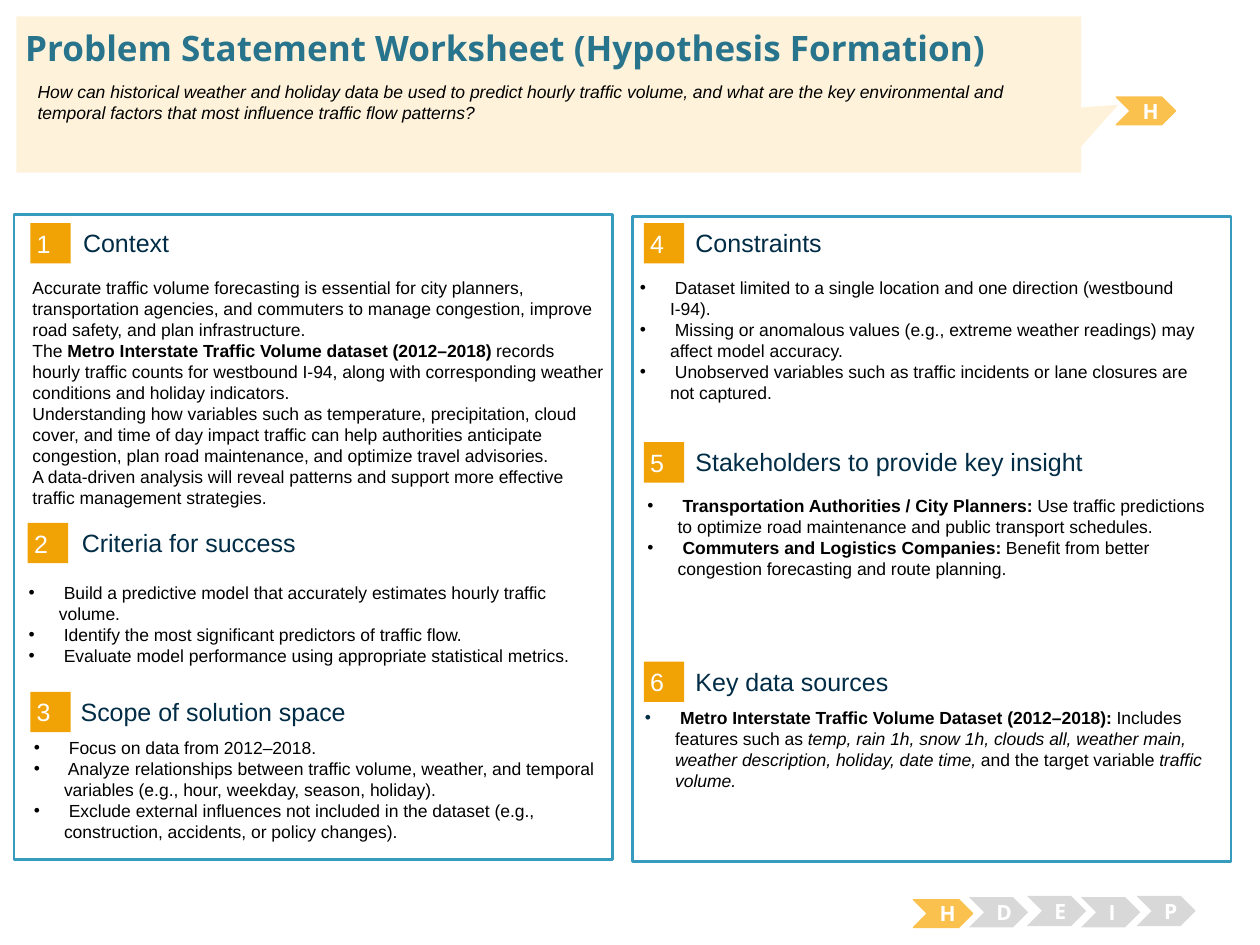
from dataclasses import dataclass
from typing import Optional

from lxml.etree import SubElement
from pptx import Presentation
from pptx.dml.color import RGBColor
from pptx.enum.shapes import MSO_SHAPE as Shape
from pptx.enum.text import MSO_ANCHOR as Anchor, PP_ALIGN as Align
from pptx.oxml.ns import qn
from pptx.util import Inches, Pt

COLORS = {
    "white": "FFFFFF", "black": "000000", "navy": "002C46", "teal": "29748D",
    "frame": "379BBD", "orange": "F1A205", "amber": "FBC14E",
    "cream": "FEF2DA", "gray": "D8D8D8",
}


@dataclass(frozen=True)
class Span:
    text: str
    bold: bool = False
    italic: bool = False
    color: Optional[str] = None


@dataclass(frozen=True)
class Section:
    number: str
    heading: str
    badge: tuple
    heading_left: float
    body: tuple
    paragraphs: list
    bulleted: bool = True


@dataclass(frozen=True)
class Stage:
    letter: str
    left: float
    top: float
    active: bool = False


SECTIONS = [
    Section("1", "Context", (0.24, 1.77), 0.66, (0.16, 2.15, 1.91), [[
        Span("Accurate traffic volume forecasting is essential for city planners, "
             "transportation agencies, and commuters to manage congestion, improve "
             "road safety, and plan infrastructure.\nThe "),
        Span("Metro Interstate Traffic Volume dataset (2012–2018)", bold=True),
        Span(" records hourly traffic counts for westbound I-94, along with "
             "corresponding weather conditions and holiday indicators.\n"
             "Understanding how variables such as temperature, precipitation, cloud "
             "cover, and time of day impact traffic can help authorities anticipate "
             "congestion, plan road maintenance, and optimize travel advisories.\n"
             "A data-driven analysis will reveal patterns and support more effective "
             "traffic management strategies."),
    ]], bulleted=False),
    Section("2", "Criteria for success", (0.22, 4.15), 0.65, (0.13, 4.57, 0.78), [
        [Span(" Build a predictive model that accurately estimates hourly traffic volume.")],
        [Span(" Identify the most significant predictors of traffic flow.")],
        [Span(" Evaluate model performance using appropriate statistical metrics.")],
    ]),
    Section("3", "Scope of solution space", (0.24, 5.49), 0.64, (0.17, 5.8, 0.92), [
        [Span(" Focus on data from 2012–2018.")],
        [Span(" Analyze relationships between traffic volume, weather, and temporal "
              "variables (e.g., hour, weekday, season, holiday).")],
        [Span(" Exclude external influences not included in the dataset (e.g., "
              "construction, accidents, or policy changes).")],
    ]),
    Section("4", "Constraints", (5.11, 1.77), 5.52, (4.98, 2.15, 1.18), [
        [Span(" Dataset limited to a single location and one direction (westbound I-94).")],
        [Span(" Missing or anomalous values (e.g., extreme weather readings) may "
              "affect model accuracy.")],
        [Span(" Unobserved variables such as traffic incidents or lane closures are "
              "not captured.")],
    ]),
    Section("5", "Stakeholders to provide key insight", (5.11, 3.51), 5.52,
            (5.04, 3.88, 1.18), [
        [Span(" "), Span("Transportation Authorities / City Planners:", bold=True),
         Span(" Use traffic predictions to optimize road maintenance and public "
              "transport schedules.")],
        [Span(" "), Span("Commuters and Logistics Companies:", bold=True),
         Span(" Benefit from better congestion forecasting and route planning.")],
    ]),
    Section("6", "Key data sources", (5.11, 5.25), 5.52, (5.02, 5.56, 1.18), [
        [Span(" ", color="navy"),
         Span("Metro Interstate Traffic Volume Dataset (2012–2018):", bold=True),
         Span(" Includes features such as "),
         Span("temp, rain 1h, snow 1h, clouds all, weather main, weather "
              "description, holiday, date time,", italic=True),
         Span(" and the target variable "),
         Span("traffic volume.", italic=True)],
    ]),
]

STAGES = [
    Stage("H", 7.25, 7.14, active=True), Stage("D", 7.69, 7.12),
    Stage("E", 8.15, 7.11), Stage("I", 8.58, 7.12), Stage("P", 9.02, 7.11),
    Stage("H", 8.86, 0.77, active=True),
]


def rgb(color: str) -> RGBColor:
    return RGBColor.from_string(COLORS[color])


def add_bullet(paragraph) -> None:
    props = paragraph._p.get_or_add_pPr()
    props.set("marL", str(Inches(0.24)))
    props.set("indent", str(-Inches(0.24)))
    SubElement(props, qn("a:buFont")).set("typeface", "Arial")
    SubElement(props, qn("a:buChar")).set("char", "•")


def write(owner, paragraphs: list, *, size: float = 10, color: str = "black",
          font: str = "Arial", align=Align.LEFT, anchor=Anchor.TOP,
          insets: tuple = (0.1, 0.05), bulleted: bool = False) -> None:
    frame = owner.text_frame
    frame.word_wrap = True
    frame.vertical_anchor = anchor
    frame.margin_left = frame.margin_right = Inches(insets[0])
    frame.margin_top = frame.margin_bottom = Inches(insets[1])
    for index, spans in enumerate(paragraphs):
        paragraph = frame.add_paragraph() if index else frame.paragraphs[0]
        paragraph.alignment = align
        if bulleted:
            add_bullet(paragraph)
        for span in spans:
            for line_index, line in enumerate(span.text.split("\n")):
                if line_index:
                    paragraph.add_line_break()
                run = paragraph.add_run()
                run.text = line
                run.font.size = Pt(size)
                run.font.name = font
                run.font.bold = span.bold
                run.font.italic = span.italic
                run.font.color.rgb = rgb(span.color or color)


def add_text(slide, box: tuple, paragraphs: list, **text_format) -> None:
    write(slide.shapes.add_textbox(*map(Inches, box)), paragraphs, **text_format)


def add_block(slide, preset, box: tuple, fill: str, line: Optional[str] = None,
              line_width: float = 0.75):
    block = slide.shapes.add_shape(preset, *map(Inches, box))
    block.shadow.inherit = False
    block.fill.solid()
    block.fill.fore_color.rgb = rgb(fill)
    if line:
        block.line.color.rgb = rgb(line)
        block.line.width = Pt(line_width)
    else:
        block.line.fill.background()
    return block


def add_section(slide, section: Section) -> None:
    left, top = section.badge
    badge = add_block(slide, Shape.RECTANGLE, (left, top, 0.32, 0.32), "orange")
    write(badge, [[Span(section.number)]], size=14.3, color="white",
          anchor=Anchor.MIDDLE, insets=(0.05, 0.05))
    add_text(slide, (section.heading_left, top + 0.03, 3.93, 0.25),
             [[Span(section.heading)]], size=14.3, color="navy",
             anchor=Anchor.MIDDLE, insets=(0, 0))
    body_left, body_top, body_height = section.body
    add_text(slide, (body_left, body_top, 4.73, body_height), section.paragraphs,
             bulleted=section.bulleted)


def add_stage(slide, stage: Stage) -> None:
    height, fill, line = (0.22, "amber", "amber") if stage.active else (0.24, "gray", None)
    chevron = add_block(slide, Shape.CHEVRON, (stage.left, stage.top, 0.47, height),
                        fill, line)
    write(chevron, [[Span(stage.letter, bold=True)]], size=12, color="white",
          font="Open Sans", align=Align.CENTER, anchor=Anchor.MIDDLE)


def main() -> None:
    deck = Presentation()
    deck.slide_width, deck.slide_height = Inches(10), Inches(7.5)
    slide = deck.slides.add_slide(deck.slide_layouts[6])

    for left, top in ((0.11, 1.7), (5.02, 1.72)):
        add_block(slide, Shape.RECTANGLE, (left, top, 4.75, 5.12), "white", "frame", 1.5)
    for section in SECTIONS:
        add_section(slide, section)
    for stage in STAGES:
        add_stage(slide, stage)

    callout = add_block(slide, Shape.RECTANGULAR_CALLOUT, (0.13, 0.13, 8.45, 1.24), "cream")
    callout.adjustments[0], callout.adjustments[1] = 0.535, 0.066
    add_text(slide, (0.2, 0.21, 9.62, 0.34),
             [[Span("Problem Statement Worksheet (Hypothesis Formation)", bold=True)]],
             size=20, color="teal", font="Open Sans", anchor=Anchor.MIDDLE, insets=(0, 0))
    add_text(slide, (0.2, 0.59, 8.38, 0.54), [[
        Span("How can historical weather and holiday data be used to predict hourly "
             "traffic volume, and what are the key environmental and temporal factors "
             "that most influence traffic flow patterns?", italic=True)]])

    deck.save("out.pptx")


if __name__ == "__main__":
    main()
